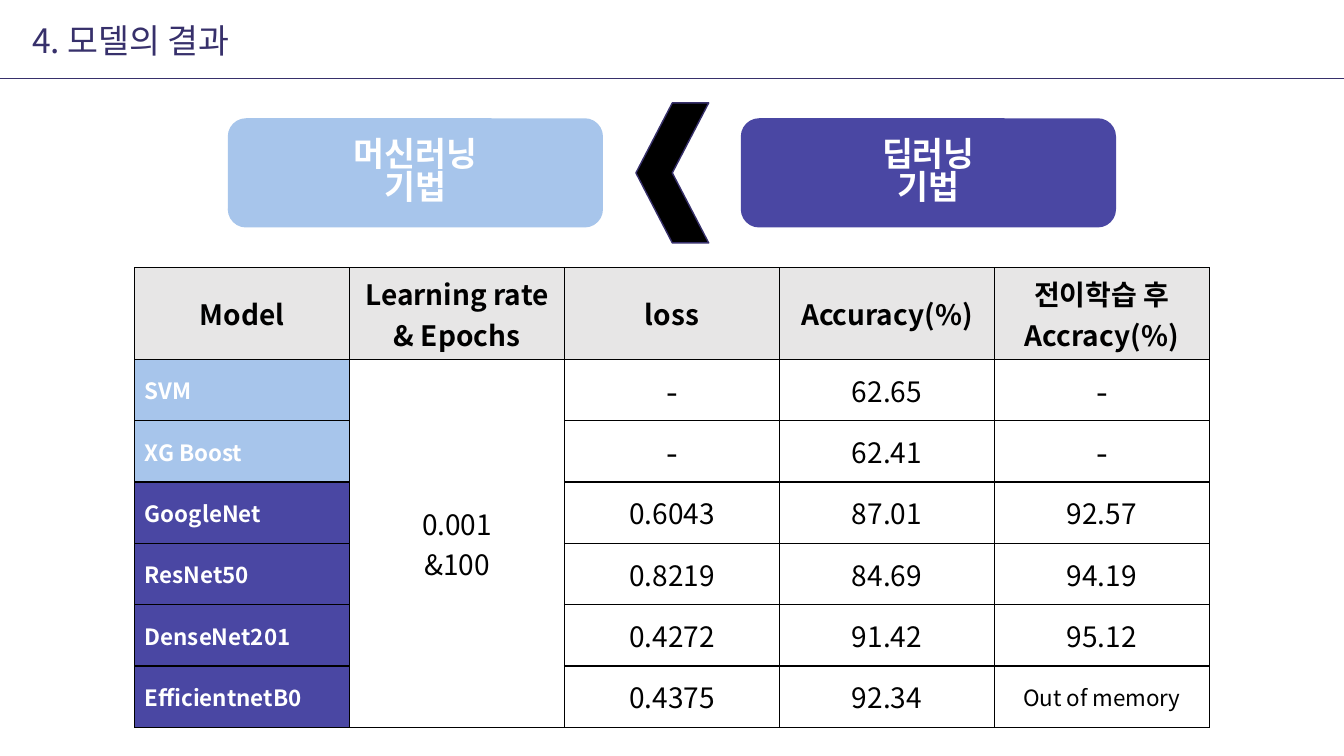
from dataclasses import dataclass
from typing import NamedTuple

from lxml.etree import SubElement
from pptx import Presentation
from pptx.dml.color import RGBColor as Rgb
from pptx.enum.shapes import MSO_CONNECTOR as Connector, MSO_SHAPE as Shape
from pptx.enum.text import MSO_ANCHOR as Anchor, MSO_AUTO_SIZE as AutoSize, PP_ALIGN as Align
from pptx.oxml.ns import qn
from pptx.util import Pt


@dataclass(frozen=True)
class Theme:
    font: str = "Noto Sans CJK KR"
    navy: str = "37306B"
    machine: str = "A7C5EB"
    deep: str = "4A47A3"
    header: str = "E7E6E6"
    black: str = "000000"
    white: str = "FFFFFF"
    heading: int = 24
    body: int = 20
    small: int = 16


THEME = Theme()


class Method(NamedTuple):
    label: str
    left: float
    color: str


class Result(NamedTuple):
    model: str
    color: str
    loss: str
    accuracy: str
    transfer: str


METHODS = [
    Method("머신러닝\n기법", 162.75, THEME.machine),
    Method("딥러닝\n기법", 529.2, THEME.deep),
]
HEADERS = ["Model", "Learning rate\n& Epochs", "loss", "Accuracy(%)", "전이학습 후 Accracy(%)"]
RESULTS = [
    Result("SVM", THEME.machine, "-", "62.65", "-"),
    Result("XG Boost", THEME.machine, "-", "62.41", "-"),
    Result("GoogleNet", THEME.deep, "0.6043", "87.01", "92.57"),
    Result("ResNet50", THEME.deep, "0.8219", "84.69", "94.19"),
    Result("DenseNet201", THEME.deep, "0.4272", "91.42", "95.12"),
    Result("EfficientnetB0", THEME.deep, "0.4375", "92.34", "Out of memory"),
]
VALUE_SIZES = {"-": THEME.heading, "Out of memory": THEME.small}
SLIDE_WIDTH, SLIDE_HEIGHT = 960, 540
COLUMN_WIDTH, ROW_HEIGHT = 153.55, 43.85


def write(frame, text: str, size: int, color: str, bold: bool = False,
          align: Align = Align.CENTER, spacing: float | None = None) -> None:
    frame.text = text
    for paragraph in frame.paragraphs:
        paragraph.alignment = align
        paragraph.line_spacing = spacing
        for run in paragraph.runs:
            font = run.font
            font.name, font.size, font.bold = THEME.font, Pt(size), bold
            font.color.rgb = Rgb.from_string(color)
            SubElement(font._element, qn("a:ea"), typeface=THEME.font)


def add_rule(slide, start: float) -> None:
    """Draw the line under the title from start to the right edge."""
    rule = slide.shapes.add_connector(
        Connector.STRAIGHT, Pt(start), Pt(55.9), Pt(SLIDE_WIDTH), Pt(55.9))
    rule.line.color.rgb = Rgb.from_string(THEME.navy)
    rule.line.width = Pt(1)
    SubElement(rule._element.spPr, qn("a:effectLst"))


def add_method(slide, method: Method) -> None:
    pill = slide.shapes.add_shape(
        Shape.ROUNDED_RECTANGLE, Pt(method.left), Pt(84.5), Pt(268), Pt(78))
    pill.shadow.inherit = False
    pill.fill.solid()
    pill.fill.fore_color.rgb = Rgb.from_string(method.color)
    pill.line.fill.background()
    pill.text_frame.vertical_anchor = Anchor.MIDDLE
    write(pill.text_frame, method.label, THEME.heading, THEME.white, True, spacing=0.82)


def add_chevron(slide) -> None:
    chevron = slide.shapes.add_shape(Shape.CHEVRON, Pt(454.2), Pt(73.5), Pt(52), Pt(100))
    chevron.rotation = 180
    chevron.shadow.inherit = False
    chevron.fill.solid()
    chevron.fill.fore_color.rgb = Rgb.from_string(THEME.black)
    chevron.line.color.rgb = Rgb.from_string(THEME.navy)
    chevron.line.width = Pt(1)


def style_cell(cell, fill: str | None = None) -> None:
    """Give the cell thin black borders and a fill, or none."""
    cell.vertical_anchor = Anchor.MIDDLE
    properties = cell._tc.get_or_add_tcPr()
    for side in ("lnL", "lnR", "lnT", "lnB"):
        border = SubElement(properties, qn(f"a:{side}"), w=str(Pt(1)))
        SubElement(SubElement(border, qn("a:solidFill")), qn("a:srgbClr"), val=THEME.black)
    if fill:
        cell.fill.solid()
        cell.fill.fore_color.rgb = Rgb.from_string(fill)
    else:
        cell.fill.background()


def add_results(slide) -> None:
    rows, columns = len(RESULTS) + 1, len(HEADERS)
    table = slide.shapes.add_table(
        rows, columns, Pt(96.2), Pt(191.3),
        Pt(COLUMN_WIDTH * columns), Pt(ROW_HEIGHT * rows)).table
    table.first_row = table.horz_banding = False
    for column in table.columns:
        column.width = Pt(COLUMN_WIDTH)
    for row in table.rows:
        row.height = Pt(ROW_HEIGHT)

    for index, header in enumerate(HEADERS):
        cell = table.cell(0, index)
        style_cell(cell, THEME.header)
        write(cell.text_frame, header, THEME.body, THEME.black, True)

    for index, result in enumerate(RESULTS, start=1):
        model = table.cell(index, 0)
        style_cell(model, result.color)
        write(model.text_frame, result.model, THEME.small, THEME.white, True, Align.LEFT)
        style_cell(table.cell(index, 1))
        values = (result.loss, result.accuracy, result.transfer)
        for position, value in enumerate(values, start=2):
            cell = table.cell(index, position)
            style_cell(cell)
            write(cell.text_frame, value, VALUE_SIZES.get(value, THEME.body), THEME.black)

    settings = table.cell(1, 1)
    settings.merge(table.cell(rows - 1, 1))
    write(settings.text_frame, "0.001\n&100", THEME.body, THEME.black)


def add_title(slide) -> None:
    title = slide.shapes.add_textbox(Pt(15.8), Pt(10.8), Pt(721.5), Pt(36)).text_frame
    title.word_wrap = True
    title.auto_size = AutoSize.SHAPE_TO_FIT_TEXT
    write(title, "4. 모델의 결과", THEME.heading, THEME.navy, align=Align.LEFT)


def main() -> None:
    deck = Presentation()
    deck.slide_width, deck.slide_height = Pt(SLIDE_WIDTH), Pt(SLIDE_HEIGHT)
    slide = deck.slides.add_slide(deck.slide_layouts[6])
    add_rule(slide, 860.4)
    for method in METHODS:
        add_method(slide, method)
    add_chevron(slide)
    add_results(slide)
    add_title(slide)
    add_rule(slide, 0)
    deck.save("out.pptx")


if __name__ == "__main__":
    main()
